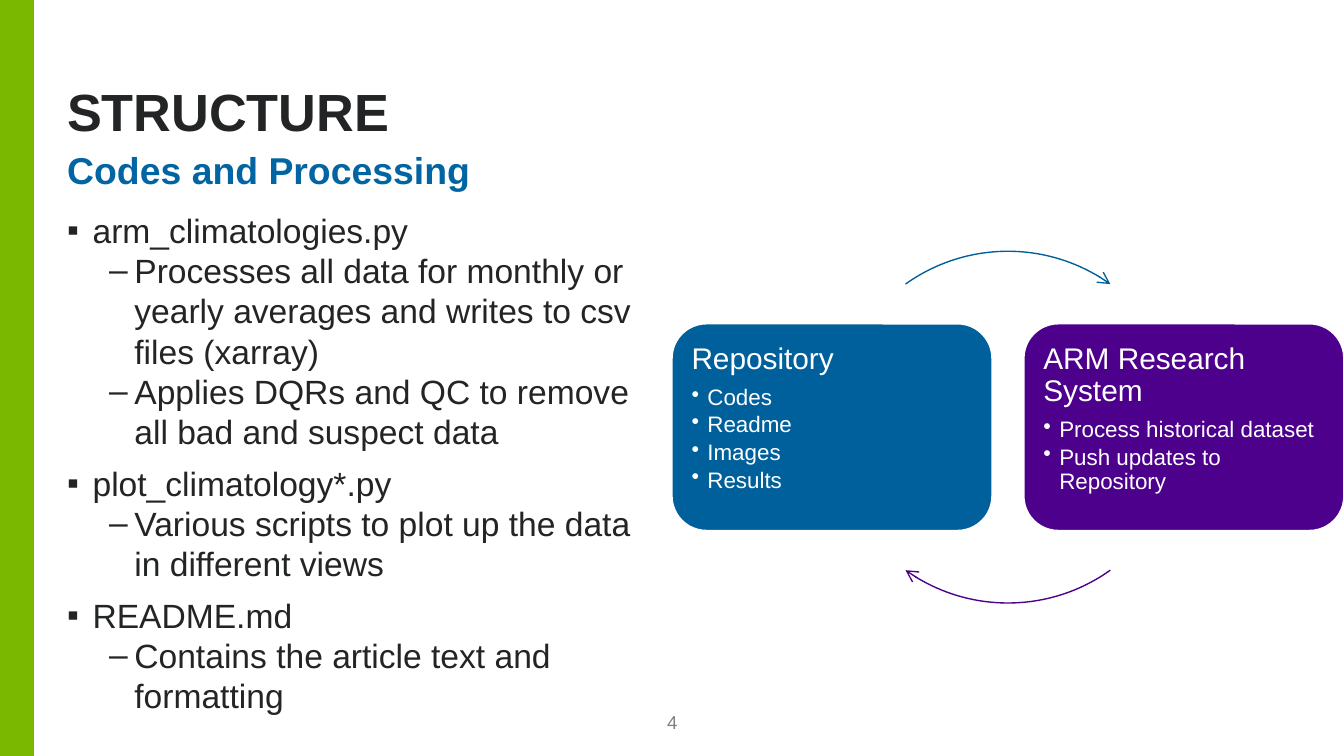
from pptx import Presentation
from pptx.dml.color import RGBColor
from pptx.enum import shapes, text
from pptx.oxml.ns import qn
from pptx.util import Cm, Pt
from lxml import etree

GREEN = RGBColor(0x7A, 0xB8, 0x00)
HEADING_BLUE = RGBColor(0x00, 0x65, 0xA2)
BLUE = RGBColor(0x00, 0x60, 0x9C)
PURPLE = RGBColor(0x4D, 0x00, 0x8C)
INK = RGBColor(0x23, 0x24, 0x25)
GREY = RGBColor(0x80, 0x80, 0x80)
WHITE = RGBColor(0xFF, 0xFF, 0xFF)

TITLE = "STRUCTURE"
SUBTITLE = "Codes and Processing"
PAGE = "4"
SCRIPTS = [
    ("arm_climatologies.py", [
        "Processes all data for monthly or yearly averages and writes to csv files (xarray)",
        "Applies DQRs and QC to remove all bad and suspect data",
    ]),
    ("plot_climatology*.py", ["Various scripts to plot up the data in different views"]),
    ("README.md", ["Contains the article text and formatting"]),
]
# heading, items, colour, start and end angle of the arrow leaving the card
CARDS = [
    ("Repository", ["Codes", "Readme", "Images", "Results"], BLUE, 234.4, 305.6),
    ("ARM Research System", ["Process historical dataset", "Push updates to Repository"],
     PURPLE, 54.4, 125.6),
]

SLIDE_W, SLIDE_H = 25.4, 14.29
MARGIN = 1.27
CARD_LEFT, CARD_TOP, CARD_W, CARD_H, CARD_PITCH = 12.7, 6.12, 6.05, 3.91, 6.65
CYCLE_SIZE = 6.65


def place(sp, left, top, width, height):
    sp.left, sp.top, sp.width, sp.height = Cm(left), Cm(top), Cm(width), Cm(height)


def set_frame(tf, anchor=text.MSO_ANCHOR.TOP, inset=0):
    tf.word_wrap = True
    tf.auto_size = text.MSO_AUTO_SIZE.NONE
    tf.vertical_anchor = anchor
    tf.margin_left = tf.margin_top = tf.margin_right = tf.margin_bottom = Cm(inset)


def set_bullet(p, char=None, indent=0, hang=0):
    """Give p a bullet, or none when char is missing; lengths in cm."""
    pPr = p._p.get_or_add_pPr()
    pPr.set("marL", str(Cm(indent)))
    pPr.set("indent", str(-Cm(hang)))
    bullet = etree.SubElement(pPr, qn("a:buChar" if char else "a:buNone"))
    if char:
        bullet.set("char", char)


def write(tf, words, size, color, bold=False, before=0, after=0, spacing=1.0,
          align=text.PP_ALIGN.LEFT, level=0, bullet=()):
    """Add one paragraph, using the empty first one if it is still free."""
    p = tf.paragraphs[0] if not tf.text else tf.add_paragraph()
    p.level = level
    set_bullet(p, *bullet)
    p.alignment = align
    p.line_spacing = spacing
    p.space_before, p.space_after = Pt(before), Pt(after)
    r = p.add_run()
    r.text = words
    r.font.name, r.font.size, r.font.bold = "Arial", Pt(size), bold
    r.font.color.rgb = color


def add_card(s, left, heading, items, color):
    sp = s.shapes.add_shape(shapes.MSO_SHAPE.ROUNDED_RECTANGLE,
                            Cm(left), Cm(CARD_TOP), Cm(CARD_W), Cm(CARD_H))
    sp.shadow.inherit = False
    sp.fill.solid()
    sp.fill.fore_color.rgb = color
    sp.line.color.rgb = WHITE
    sp.line.width = Pt(0.85)
    tf = sp.text_frame
    set_frame(tf, inset=0.18)
    write(tf, heading, 16, WHITE, after=5.6, spacing=0.9)
    for item in items:
        write(tf, item, 12, WHITE, after=1.8, spacing=0.9, level=1, bullet=("•", 0.3, 0.3))


def add_arc_arrow(s, center_x, center_y, start, end, color):
    arc = s.shapes.add_shape(shapes.MSO_SHAPE.ARC,
                             Cm(center_x - CYCLE_SIZE / 2), Cm(center_y - CYCLE_SIZE / 2),
                             Cm(CYCLE_SIZE), Cm(CYCLE_SIZE))
    arc.shadow.inherit = False
    arc.fill.background()
    for i, angle in enumerate((start, end)):
        arc.adjustments[i] = angle * 0.6  # 60000 units per degree, scaled by 100000
    arc.line.color.rgb = color
    arc.line.width = Pt(0.75)
    etree.SubElement(arc.line._get_or_add_ln(), qn("a:tailEnd"), type="arrow")


def main():
    prs = Presentation()
    prs.slide_width, prs.slide_height = Cm(SLIDE_W), Cm(SLIDE_H)
    s = prs.slides.add_slide(prs.slide_layouts.get_by_name("Two Content"))
    title, subtitle, body = s.placeholders

    band = s.shapes.add_shape(shapes.MSO_SHAPE.RECTANGLE, 0, 0, Cm(0.64), Cm(SLIDE_H))
    band.shadow.inherit = False
    band.fill.solid()
    band.fill.fore_color.rgb = GREEN
    band.line.fill.background()

    place(title, MARGIN, 0.99, 23.27, 1.73)
    set_frame(title.text_frame, text.MSO_ANCHOR.BOTTOM)
    write(title.text_frame, TITLE, 28, INK, bold=True, spacing=0.95)

    place(subtitle, MARGIN, 2.87, 23.27, 1.04)
    set_frame(subtitle.text_frame)
    write(subtitle.text_frame, SUBTITLE, 20, HEADING_BLUE, bold=True, spacing=0.9)

    place(body, MARGIN, 3.96, 11.18, 9.22)
    tf = body.text_frame
    set_frame(tf)
    for i, (name, notes) in enumerate(SCRIPTS):
        write(tf, name, 18, INK, before=6 if i else 0, bullet=("▪", 0.48, 0.48))
        for note in notes:
            write(tf, note, 18, INK, level=1, bullet=("–", 1.27, 0.48))

    center_x = CARD_LEFT + (CARD_PITCH + CARD_W) / 2
    center_y = CARD_TOP + CARD_H / 2
    for i, (heading, items, color, start, end) in enumerate(CARDS):
        add_card(s, CARD_LEFT + i * CARD_PITCH, heading, items, color)
        add_arc_arrow(s, center_x, center_y, start, end, color)

    number = s.shapes.add_textbox(Cm(12.07), Cm(13.49), Cm(1.27), Cm(0.38))
    set_frame(number.text_frame, text.MSO_ANCHOR.BOTTOM)
    write(number.text_frame, PAGE, 10, GREY, align=text.PP_ALIGN.CENTER)

    prs.save("out.pptx")


if __name__ == "__main__":
    main()
